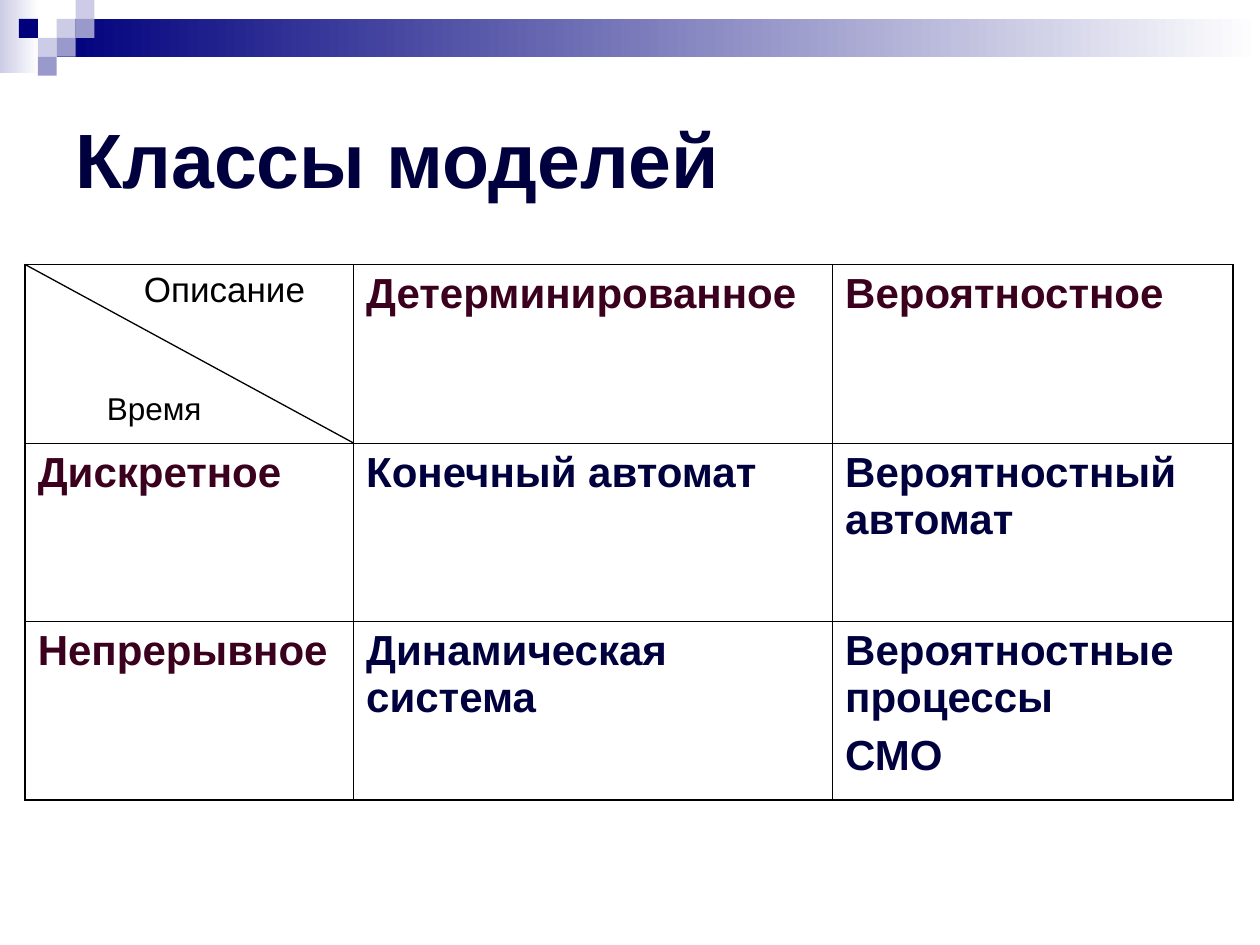
import pptx
import pptx.dml.color
import pptx.enum.shapes
import pptx.enum.text
import pptx.oxml
import pptx.oxml.ns
import pptx.util
import lxml.etree

Pt = pptx.util.Pt
RECT = pptx.enum.shapes.MSO_SHAPE.RECTANGLE
ANCHOR = pptx.enum.text.MSO_ANCHOR
COLORS = {
    "white": "FFFFFF", "black": "000000", "pale": "CCCCE6", "mid": "9999CC",
    "navy": "00007D", "ink": "00003E", "wine": "3A001D",
}
SQUARES = [
    (3, 1, "pale"), (4, 0, "pale"), (4, 1, "mid"), (2, 2, "pale"),
    (1, 1, "navy"), (3, 2, "mid"), (2, 3, "mid"),
]
CELLS = [
    [["Описание"], ["Детерминированное"], ["Вероятностное"]],
    [["Дискретное"], ["Конечный автомат"], ["Вероятностный автомат"]],
    [["Непрерывное"], ["Динамическая система"], ["Вероятностные процессы", "СМО"]],
]


def rgb(name):
    return pptx.dml.color.RGBColor.from_string(COLORS[name])


def add_text(p, text, size, color, bold=False, before=0):
    p.space_before = Pt(before)
    r = p.add_run()
    r.text = text
    r.font.name = "Arial"
    r.font.size = Pt(size)
    r.font.bold = bold
    r.font.color.rgb = rgb(color)


def add_label(s, box, text, size, color, bold=False, before=0, anchor=ANCHOR.TOP):
    tf = s.shapes.add_textbox(*map(Pt, box)).text_frame
    tf.word_wrap = True
    tf.vertical_anchor = anchor
    add_text(tf.paragraphs[0], text, size, color, bold, before)


def add_rect(s, box, color, fade=False):
    sp = s.shapes.add_shape(RECT, *map(Pt, box))
    sp.shadow.inherit = False
    sp.line.fill.background()
    if fade:
        sp.fill.gradient()
        sp.fill.gradient_angle = 180
        for stop, name, position in zip(sp.fill.gradient_stops, ("white", color), (0, 1)):
            stop.color.rgb = rgb(name)
            stop.position = position
    else:
        sp.fill.solid()
        sp.fill.fore_color.rgb = rgb(color)


def add_banner(s, left, top, width, step):
    add_rect(s, (left, top, 22.3, 41.8), "pale", fade=True)
    add_rect(s, (left + 3 * step, top + step, width - 3 * step, 2 * step), "navy", fade=True)
    for col, row, color in SQUARES:
        add_rect(s, (left + col * step, top + row * step, step, step), color)


def set_borders(cell, widths):
    tcPr = cell._tc.get_or_add_tcPr()
    for i, (side, width) in enumerate(zip("LRTB", widths)):
        ln = pptx.oxml.parse_xml(
            f'<a:ln{side} {pptx.oxml.ns.nsdecls("a")} w="{Pt(width)}">'
            f'<a:solidFill><a:srgbClr val="{COLORS["black"]}"/></a:solidFill></a:ln{side}>')
        tcPr.insert(i, ln)


def add_models_table(s, left, top, col_widths, row_height):
    rows, cols = len(CELLS), len(col_widths)
    frame = s.shapes.add_table(
        rows, cols, Pt(left), Pt(top), Pt(sum(col_widths)), Pt(row_height * rows))
    table = frame.table
    table.first_row = table.horz_banding = False
    for column, width in zip(table.columns, col_widths):
        column.width = Pt(width)
    for i, texts in enumerate(CELLS):
        table.rows[i].height = Pt(row_height)
        for j, lines in enumerate(texts):
            cell = table.cell(i, j)
            cell.fill.background()
            corner = i == j == 0
            cell.margin_left = Pt(67.8 if corner else 7.2)
            outer = (j == 0, j == cols - 1, i == 0, i == rows - 1)
            set_borders(cell, [1.08 if edge else 0.45 for edge in outer])
            tf = cell.text_frame
            for k, line in enumerate(lines):
                p = tf.add_paragraph() if k else tf.paragraphs[0]
                if corner:
                    add_text(p, line, 20, "black", before=5)
                else:
                    add_text(p, line, 24, "ink" if i and j else "wine", True, 6)
    diagonal = s.shapes.add_connector(
        pptx.enum.shapes.MSO_CONNECTOR.STRAIGHT, Pt(left), Pt(top),
        Pt(left + col_widths[0]), Pt(top + row_height))
    diagonal.line.color.rgb = rgb("black")
    diagonal.line.width = Pt(0.74)
    lxml.etree.SubElement(diagonal._element.spPr, pptx.oxml.ns.qn("a:effectLst"))
    add_label(s, (left + 39.6, top + 67.7, 102, 28.8), "Время", 18, "black", before=4.5)


prs = pptx.Presentation()
prs.slide_width, prs.slide_height = Pt(720), Pt(540)
s = prs.slides.add_slide(prs.slide_layouts[6])
add_banner(s, 0, 0, 720, 10.8)
add_label(s, (36, 36, 648, 108), "Классы моделей", 44, "ink", True, anchor=ANCHOR.MIDDLE)
add_models_table(s, 14.4, 151.2, (187.7, 273.7, 229), 102)
prs.save("out.pptx")
